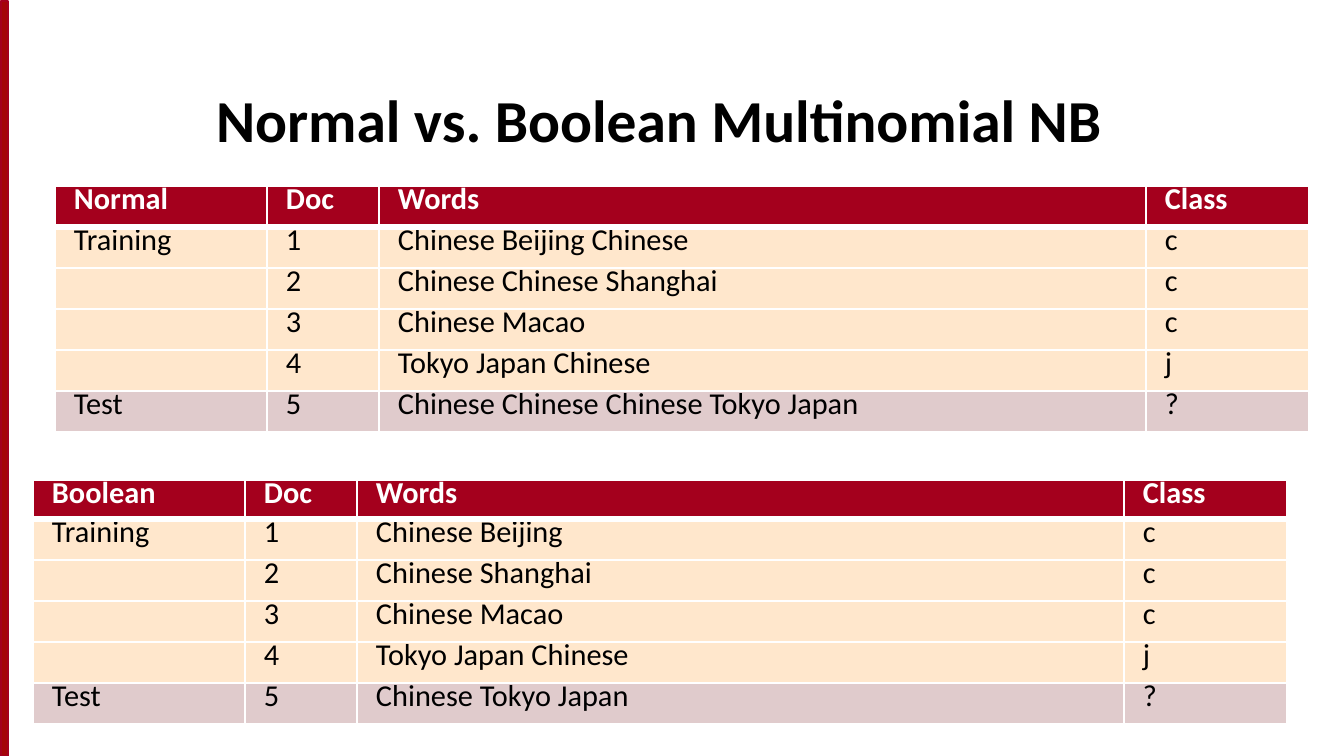
import pptx
import pptx.dml.color
import pptx.enum.shapes
import pptx.enum.text
import pptx.oxml
import pptx.oxml.ns
import pptx.util

RGBColor = pptx.dml.color.RGBColor
CRIMSON = RGBColor(0xA4, 0x00, 0x1D)
BAR_RED = RGBColor(0xA4, 0x05, 0x08)
PEACH = RGBColor(0xFF, 0xE7, 0xCC)
ROSE = RGBColor(0xE0, 0xCB, 0xCC)
WHITE = RGBColor(0xFF, 0xFF, 0xFF)
BLACK = RGBColor(0x00, 0x00, 0x00)
FONT = "Calibri"
PX_PER_INCH = 84
COLUMN_WIDTHS = (212, 112, 767, 163)
ROW_HEIGHT = 41
THIN, THICK = 2.25, 6

NORMAL_WORDS = (
    "Chinese Beijing Chinese",
    "Chinese Chinese Shanghai",
    "Chinese Macao",
    "Tokyo Japan Chinese",
    "Chinese Chinese Chinese Tokyo Japan",
)
BOOLEAN_WORDS = (
    "Chinese Beijing",
    "Chinese Shanghai",
    "Chinese Macao",
    "Tokyo Japan Chinese",
    "Chinese Tokyo Japan",
)
SETS = ("Training", "", "", "", "Test")
CLASSES = ("c", "c", "c", "j", "?")


def px(length):
    """Turn pixels into EMU."""
    return pptx.util.Emu(round(length * 914400 / PX_PER_INCH))


def add_run(paragraph, text, size, color, bold):
    """Add one formatted run to a paragraph."""
    run = paragraph.add_run()
    run.text = text
    run.font.name = FONT
    run.font.size = pptx.util.Pt(size)
    run.font.bold = bold
    run.font.color.rgb = color


def set_borders(cell, top, bottom):
    """Give a cell white borders with the given top and bottom widths."""
    properties = cell._tc.get_or_add_tcPr()
    for side, width in (("L", THIN), ("R", THIN), ("T", top), ("B", bottom)):
        properties.append(pptx.oxml.parse_xml(
            f'<a:ln{side} {pptx.oxml.ns.nsdecls("a")} w="{pptx.util.Pt(width)}">'
            f'<a:solidFill><a:srgbClr val="{WHITE}"/></a:solidFill></a:ln{side}>'))


def fill_cell(cell, text, row, last_row):
    """Format one table cell according to its row."""
    set_borders(cell, THICK if row == 1 else THIN, THICK if row == 0 else THIN)
    cell.fill.solid()
    cell.fill.fore_color.rgb = CRIMSON if row == 0 else ROSE if row == last_row else PEACH
    cell.margin_left = px(19)
    cell.margin_right = cell.margin_top = cell.margin_bottom = 0
    if text:
        paragraph = cell.text_frame.paragraphs[0]
        paragraph.line_spacing = pptx.util.Pt(26.9)
        add_run(paragraph, text, 26, WHITE if row == 0 else BLACK, row == 0)


def add_side_bar(slide, left, top, width, height):
    """Draw the red bar along the slide's left edge."""
    bar = slide.shapes.add_shape(
        pptx.enum.shapes.MSO_SHAPE.RECTANGLE, px(left), px(top), px(width), px(height))
    bar.shadow.inherit = False
    bar.fill.solid()
    bar.fill.fore_color.rgb = BAR_RED
    bar.line.color.rgb = CRIMSON
    bar.line.width = pptx.util.Pt(1)


def add_title(slide, left, top, width, height):
    """Place and format the slide title."""
    title = slide.shapes.title
    title.left, title.top, title.width, title.height = map(px, (left, top, width, height))
    frame = title.text_frame
    frame.auto_size = pptx.enum.text.MSO_AUTO_SIZE.NONE
    frame.vertical_anchor = pptx.enum.text.MSO_ANCHOR.TOP
    frame.margin_left, frame.margin_top = px(24), px(96)
    frame.margin_right = frame.margin_bottom = 0
    paragraph = frame.paragraphs[0]
    paragraph.alignment = pptx.enum.text.PP_ALIGN.LEFT
    paragraph.line_spacing = 1.0
    paragraph.space_before = pptx.util.Pt(1)
    add_run(paragraph, "Normal vs. Boolean Multinomial NB", 51, BLACK, True)


def add_document_table(slide, left, top, header_height, name, words):
    """Add a table of training and test documents."""
    rows = [(name, "Doc", "Words", "Class")]
    for number, values in enumerate(zip(SETS, words, CLASSES), start=1):
        group, text, label = values
        rows.append((group, str(number), text, label))
    heights = [header_height] + [ROW_HEIGHT] * len(words)
    table = slide.shapes.add_table(
        len(rows), len(COLUMN_WIDTHS), px(left), px(top),
        px(sum(COLUMN_WIDTHS)), px(sum(heights))).table
    table.horz_banding = False
    for column, width in zip(table.columns, COLUMN_WIDTHS):
        column.width = px(width)
    for row, values in enumerate(rows):
        table.rows[row].height = px(heights[row])
        for column, text in enumerate(values):
            fill_cell(table.cell(row, column), text, row, len(words))


def main():
    """Build and save the slide."""
    presentation = pptx.Presentation()
    presentation.slide_width, presentation.slide_height = px(1344), px(756)
    slide = presentation.slides.add_slide(presentation.slide_layouts[5])
    add_side_bar(slide, 1, 1, 7, 755)
    add_title(slide, 192, -13, 1106, 168)
    add_document_table(slide, 55, 186, ROW_HEIGHT, "Normal", NORMAL_WORDS)
    add_document_table(slide, 33, 480, 39, "Boolean", BOOLEAN_WORDS)
    presentation.save("out.pptx")


if __name__ == "__main__":
    main()
